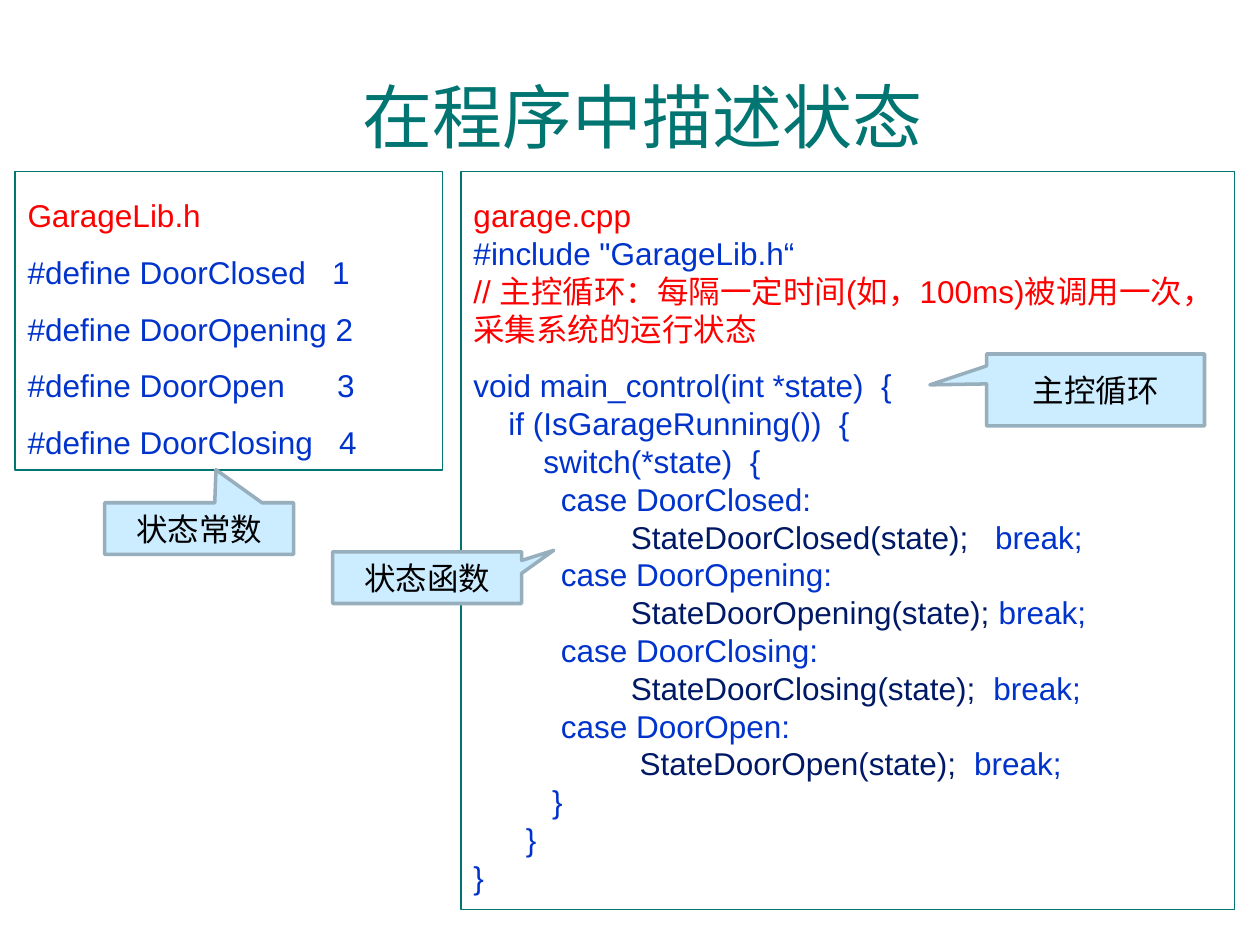
from dataclasses import dataclass

from lxml.etree import SubElement
from pptx import Presentation
from pptx.dml.color import RGBColor
from pptx.enum.shapes import MSO_SHAPE
from pptx.enum.text import MSO_ANCHOR, PP_ALIGN
from pptx.oxml.ns import qn
from pptx.util import Inches, Pt

TEAL = RGBColor(0x00, 0x75, 0x72)
RED = RGBColor(0xFF, 0x00, 0x00)
BLUE = RGBColor(0x00, 0x33, 0xCC)
NAVY = RGBColor(0x00, 0x19, 0x66)
BLACK = RGBColor(0x00, 0x00, 0x00)
PALE_BLUE = RGBColor(0xCC, 0xEC, 0xFF)
GREY_BLUE = RGBColor(0x97, 0xAF, 0xBD)


@dataclass
class CodeLine:
    text: str
    color: RGBColor = BLUE
    spacing: float = 1.0
    ending: str = ""  # blue text after the main part


@dataclass
class Listing:
    left: float
    width: float
    height: float
    lines: list[CodeLine]


@dataclass
class Callout:
    text: str
    left: float
    top: float
    width: float
    height: float
    tip: tuple[float, float]


def style_run(run, size: float, color: RGBColor, latin: str = "Arial") -> None:
    run.font.size = Pt(size)
    run.font.color.rgb = color
    run.font.name = latin
    SubElement(run._r.get_or_add_rPr(), qn("a:ea"), typeface="Noto Sans CJK SC")


def draw_title(slide, text: str) -> None:
    title = slide.shapes.add_textbox(Inches(0.39), Inches(0.37), Inches(9.42), Inches(1.09))
    frame = title.text_frame
    frame.word_wrap = True
    frame.vertical_anchor = MSO_ANCHOR.MIDDLE
    frame.text = text
    frame.paragraphs[0].alignment = PP_ALIGN.CENTER
    style_run(frame.paragraphs[0].runs[0], 40, TEAL)


def draw_listing(slide, listing: Listing) -> None:
    panel = slide.shapes.add_shape(
        MSO_SHAPE.RECTANGLE, Inches(listing.left), Inches(1.36),
        Inches(listing.width), Inches(listing.height))
    panel.shadow.inherit = False
    panel.fill.background()
    panel.line.color.rgb = TEAL
    panel.line.width = Pt(0.75)
    frame = panel.text_frame
    frame.word_wrap = True
    frame.vertical_anchor = MSO_ANCHOR.TOP
    frame.text = "\n".join(line.text for line in listing.lines)
    for paragraph, line in zip(frame.paragraphs, listing.lines):
        paragraph.alignment = PP_ALIGN.LEFT
        paragraph.line_spacing = line.spacing
        style_run(paragraph.runs[0], 18, line.color)
        if line.ending:
            ending = paragraph.add_run()
            ending.text = line.ending
            style_run(ending, 18, BLUE)


def draw_callout(slide, callout: Callout) -> None:
    bubble = slide.shapes.add_shape(
        MSO_SHAPE.RECTANGULAR_CALLOUT, Inches(callout.left), Inches(callout.top),
        Inches(callout.width), Inches(callout.height))
    bubble.adjustments[0], bubble.adjustments[1] = callout.tip
    bubble.shadow.inherit = False
    bubble.fill.solid()
    bubble.fill.fore_color.rgb = PALE_BLUE
    bubble.line.color.rgb = GREY_BLUE
    bubble.line.width = Pt(2)
    frame = bubble.text_frame
    frame.vertical_anchor = MSO_ANCHOR.MIDDLE
    frame.text = callout.text
    frame.paragraphs[0].alignment = PP_ALIGN.CENTER
    style_run(frame.paragraphs[0].runs[0], 18, BLACK, "Times New Roman")


HEADER_FILE = Listing(0.12, 3.39, 2.37, [
    CodeLine("GarageLib.h", RED, 1.5),
    CodeLine("#define DoorClosed   1", spacing=1.5),
    CodeLine("#define DoorOpening 2", spacing=1.5),
    CodeLine("#define DoorOpen      3", spacing=1.5),
    CodeLine("#define DoorClosing   4", spacing=1.5),
])

SOURCE_FILE = Listing(3.66, 6.14, 5.86, [
    CodeLine("garage.cpp", RED, 1.5),
    CodeLine('#include "GarageLib.h“'),
    CodeLine("// 主控循环：每隔一定时间(如，100ms)被调用一次，采集系统的运行状态", RED),
    CodeLine("void main_control(int *state)  {", spacing=1.5),
    CodeLine("    if (IsGarageRunning())  {"),
    CodeLine("        switch(*state)  {"),
    CodeLine("          case DoorClosed:"),
    CodeLine("                  StateDoorClosed(state);   ", NAVY, ending="break;"),
    CodeLine("          case DoorOpening:"),
    CodeLine("                  StateDoorOpening(state); ", NAVY, ending="break;"),
    CodeLine("          case DoorClosing:"),
    CodeLine("                  StateDoorClosing(state);  ", NAVY, ending="break;"),
    CodeLine("          case DoorOpen:"),
    CodeLine("                   StateDoorOpen(state);  ", NAVY, ending="break;"),
    CodeLine("         }"),
    CodeLine("      }"),
    CodeLine("}"),
])

CALLOUTS = [
    Callout("状态常数", 0.83, 3.99, 1.5, 0.41, (0.09, -1.14)),
    Callout("状态函数", 2.64, 4.38, 1.5, 0.41, (0.67, -0.53)),
    Callout("主控循环", 7.83, 2.81, 1.73, 0.57, (-0.76, -0.07)),
]


def main() -> None:
    presentation = Presentation()
    presentation.slide_width = Inches(10)
    presentation.slide_height = Inches(7.5)
    slide = presentation.slides.add_slide(presentation.slide_layouts[6])

    # Title
    draw_title(slide, "在程序中描述状态")

    # Code listings
    for listing in (HEADER_FILE, SOURCE_FILE):
        draw_listing(slide, listing)

    # Callouts pointing into the code
    for callout in CALLOUTS:
        draw_callout(slide, callout)

    presentation.save("out.pptx")


if __name__ == "__main__":
    main()
